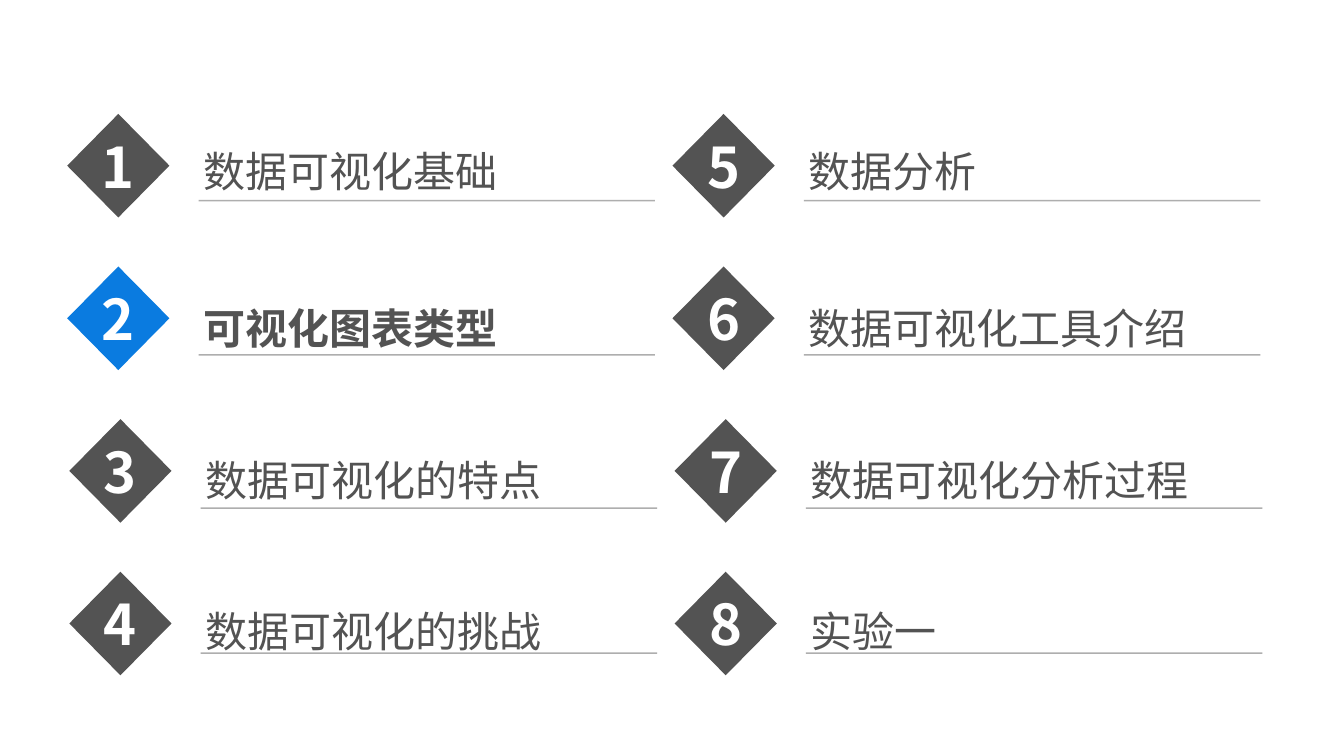
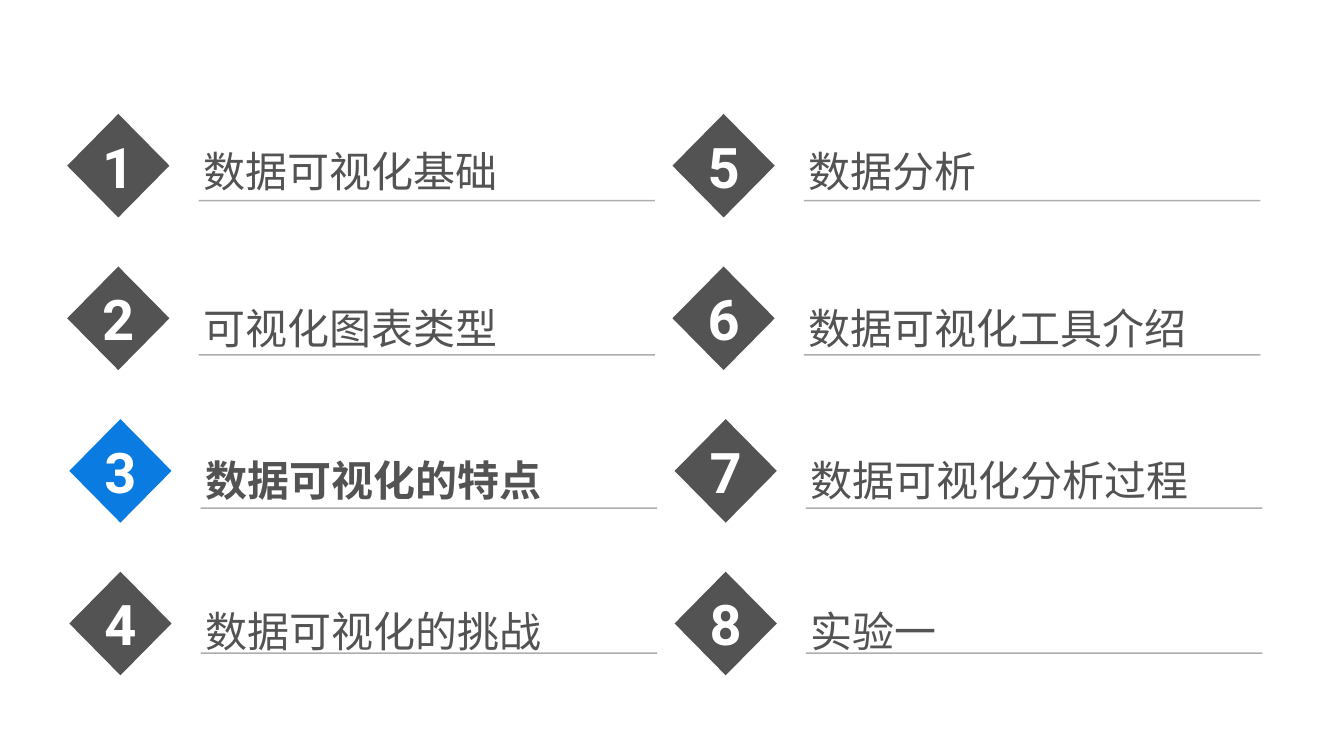
from lxml import etree
from pptx import Presentation
from pptx.dml.color import RGBColor
from pptx.enum.shapes import MSO_CONNECTOR, MSO_SHAPE
from pptx.enum.text import MSO_ANCHOR, MSO_AUTO_SIZE, PP_ALIGN
from pptx.oxml.ns import qn
from pptx.util import Pt

TOPICS = [
    "数据可视化基础", "可视化图表类型", "数据可视化的特点", "数据可视化的挑战",
    "数据分析", "数据可视化工具介绍", "数据可视化分析过程", "实验一",
]
SANS = "Noto Sans CJK JP"
AGENDAS = [
    {"active": 2, "font": SANS},
    {"active": 3, "font": "Roboto"},
]

GRAY = RGBColor(0x53, 0x53, 0x53)
BLUE = RGBColor(0x0A, 0x7B, 0xE0)
WHITE = RGBColor(0xFF, 0xFF, 0xFF)
RULE = RGBColor(0x5E, 0x5E, 0x5E)

DIAMOND = MSO_SHAPE.DIAMOND
STRAIGHT = MSO_CONNECTOR.STRAIGHT
MIDDLE = MSO_ANCHOR.MIDDLE
TOP = MSO_ANCHOR.TOP
CENTER = PP_ALIGN.CENTER
LEFT = PP_ALIGN.LEFT
GROW = MSO_AUTO_SIZE.SHAPE_TO_FIT_TEXT

WIDTH, HEIGHT = 1920, 1080
ROWS = 4
COL_STEP = 864.7
ROW_TOP, ROW_STEP = 162.7, 218
ROW_LEFT = [96, 96, 99, 99]
TEXT_TOP = [201, 425, 641.5, 857.5]
RULE_TOP = [286.6, 506.9, 725.8, 933.1]
MARK_W, MARK_H = 146, 148
TEXT_GAP, TEXT_W, TEXT_H = 187.7, 666.7, 87
RULE_W = 652
INSET = 7.2


def write(shape, text, font, size, color, bold, align, anchor):
    frame = shape.text_frame
    frame.word_wrap = True
    frame.vertical_anchor = anchor
    frame.margin_left = frame.margin_right = Pt(INSET)
    frame.margin_top = frame.margin_bottom = Pt(INSET)
    frame.text = text
    line = frame.paragraphs[0]
    line.alignment = align
    run = line.runs[0]
    run.font.name = font
    run.font.size = Pt(size)
    run.font.bold = bold
    run.font.color.rgb = color
    east = etree.SubElement(run.font._element, qn("a:ea"))
    east.set("typeface", font)


def add_label(slide, text, left, top, bold):
    box = slide.shapes.add_textbox(Pt(left), Pt(top), Pt(TEXT_W), Pt(TEXT_H))
    write(box, text, SANS, 60, GRAY, bold, LEFT, TOP)
    box.text_frame.auto_size = GROW


def add_mark(slide, number, left, top, fill, font):
    mark = slide.shapes.add_shape(DIAMOND, Pt(left), Pt(top), Pt(MARK_W), Pt(MARK_H))
    mark.shadow.inherit = False
    mark.fill.solid()
    mark.fill.fore_color.rgb = fill
    mark.line.fill.background()
    write(mark, str(number), font, 80, WHITE, True, CENTER, MIDDLE)


def add_rule(slide, left, top):
    rule = slide.shapes.add_connector(
        STRAIGHT, Pt(left), Pt(top), Pt(left + RULE_W), Pt(top))
    rule.line.color.rgb = RULE
    rule.line.width = Pt(2)
    props = rule._element.spPr
    tint = props.find(".//" + qn("a:srgbClr"))
    etree.SubElement(tint, qn("a:alpha")).set("val", "50000")
    etree.SubElement(props, qn("a:effectLst"))


def add_agenda(deck, active, font):
    slide = deck.slides.add_slide(deck.slide_layouts[6])
    for index, topic in enumerate(TOPICS):
        col, row = divmod(index, ROWS)
        left = ROW_LEFT[row] + col * COL_STEP
        top = ROW_TOP + row * ROW_STEP
        number = index + 1
        current = number == active
        add_label(slide, topic, left + TEXT_GAP, TEXT_TOP[row], current)
        add_mark(slide, number, left, top, BLUE if current else GRAY, font)
        add_rule(slide, left + TEXT_GAP, RULE_TOP[row])


def main():
    deck = Presentation()
    deck.slide_width = Pt(WIDTH)
    deck.slide_height = Pt(HEIGHT)
    for agenda in AGENDAS:
        add_agenda(deck, **agenda)
    deck.save("out.pptx")


if __name__ == "__main__":
    main()
